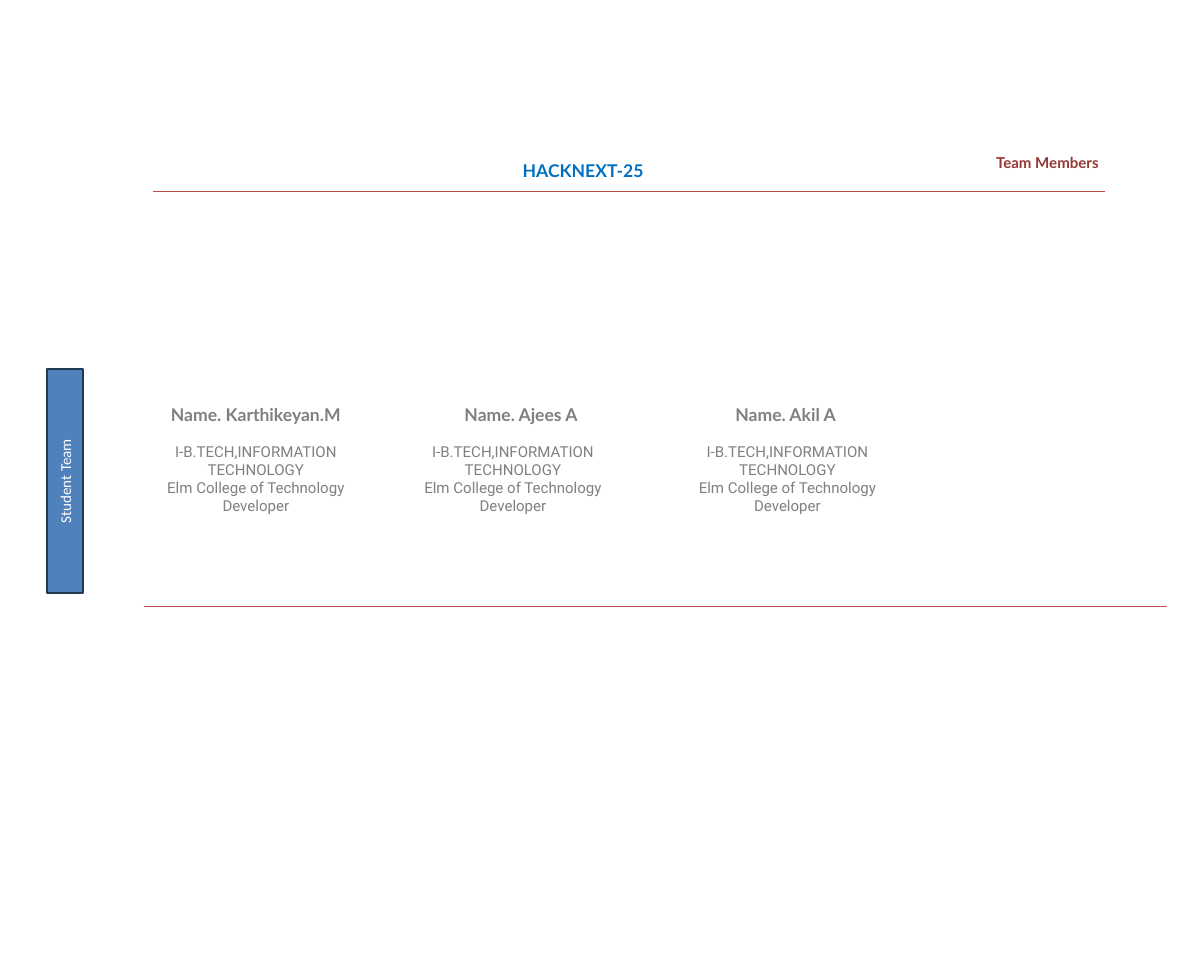
from pptx import Presentation
from pptx.dml.color import RGBColor
from pptx.enum.shapes import MSO_CONNECTOR, MSO_SHAPE
from pptx.enum.text import MSO_ANCHOR, MSO_AUTO_SIZE, PP_ALIGN
from pptx.oxml.ns import qn
from pptx.util import Pt
from lxml.etree import SubElement

WHITE = RGBColor(0xFF, 0xFF, 0xFF)
GRAY = RGBColor(0x80, 0x80, 0x80)
RED = RGBColor(0xBF, 0x4C, 0x48)
MAROON = RGBColor(0x95, 0x37, 0x35)
BRIGHT_BLUE = RGBColor(0x00, 0x70, 0xC0)
BAND_BLUE = RGBColor(0x4F, 0x81, 0xBD)
BAND_EDGE = RGBColor(0x23, 0x39, 0x53)

DETAILS = "I-B.TECH,INFORMATION TECHNOLOGY\nElm College of Technology\nDeveloper"
MEMBERS = [
    ("Name. Karthikeyan.M", 148.3, 37.4, 240.5),
    ("Name. Ajees A", 455.8, 43.9, 247),
    ("Name. Akil A", 784.1, 43.9, 223.2),
]


def write(shape, text, font, size, color, align=PP_ALIGN.CENTER, bold=False,
          anchor=MSO_ANCHOR.TOP):
    frame = shape.text_frame
    frame.text = text
    frame.word_wrap = True
    frame.auto_size = MSO_AUTO_SIZE.NONE
    frame.vertical_anchor = anchor
    for para in frame.paragraphs:
        para.alignment = align
        for span in para.runs:
            span.font.name = font
            span.font.size = Pt(size)
            span.font.bold = bold
            span.font.color.rgb = color


def add_text(page, left, top, width, height, *style, **options):
    box = page.shapes.add_textbox(Pt(left), Pt(top), Pt(width), Pt(height))
    write(box, *style, **options)


def add_rule(page, left, top, width):
    rule = page.shapes.add_connector(
        MSO_CONNECTOR.STRAIGHT, Pt(left), Pt(top), Pt(left + width), Pt(top))
    rule.line.color.rgb = RED
    rule.line.width = Pt(1)
    SubElement(rule._element.spPr, qn("a:effectLst"))


def add_header(page, left, top, width):
    title = page.shapes.title
    title.left, title.top = Pt(left + width - 379.4), Pt(top)
    title.width, title.height = Pt(379.4), Pt(32.4)
    write(title, "Team Members", "Lato", 18, MAROON, align=PP_ALIGN.RIGHT, bold=True)
    add_rule(page, left, top + 49, width)
    add_text(page, left + 311.8, top + 7.9, 405.4, 32.4,
             "HACKNEXT-25", "Lato", 21, BRIGHT_BLUE, bold=True)


def add_team_band(page, left, top, width, height):
    shift = (height - width) / 2
    band = page.shapes.add_shape(
        MSO_SHAPE.RECTANGLE, Pt(left - shift), Pt(top + shift), Pt(height), Pt(width))
    band.rotation = 270
    band.shadow.inherit = False
    band.fill.solid()
    band.fill.fore_color.rgb = BAND_BLUE
    band.line.color.rgb = BAND_EDGE
    band.line.width = Pt(2)
    write(band, "Student Team", "Calibri", 18, WHITE, anchor=MSO_ANCHOR.MIDDLE)


def add_member(page, left, top, width, name, name_inset, name_width):
    add_text(page, left + name_inset, top, name_width, 32.4,
             name, "Lato", 21, GRAY, bold=True)
    add_text(page, left, top + 45.7, width, 72.7, DETAILS, "Roboto", 18, GRAY)


def main():
    deck = Presentation()
    deck.slide_width, deck.slide_height = Pt(1440), Pt(1152)
    page = deck.slides.add_slide(deck.slide_layouts[5])
    add_header(page, 182.9, 180, 1138.3)
    add_team_band(page, 56.5, 441.7, 42.5, 267.8)
    for name, left, name_inset, name_width in MEMBERS:
        add_member(page, left, 480.2, 315.4, name, name_inset, name_width)
    add_rule(page, 172.1, 725.8, 1224)
    deck.save("out.pptx")


if __name__ == "__main__":
    main()
